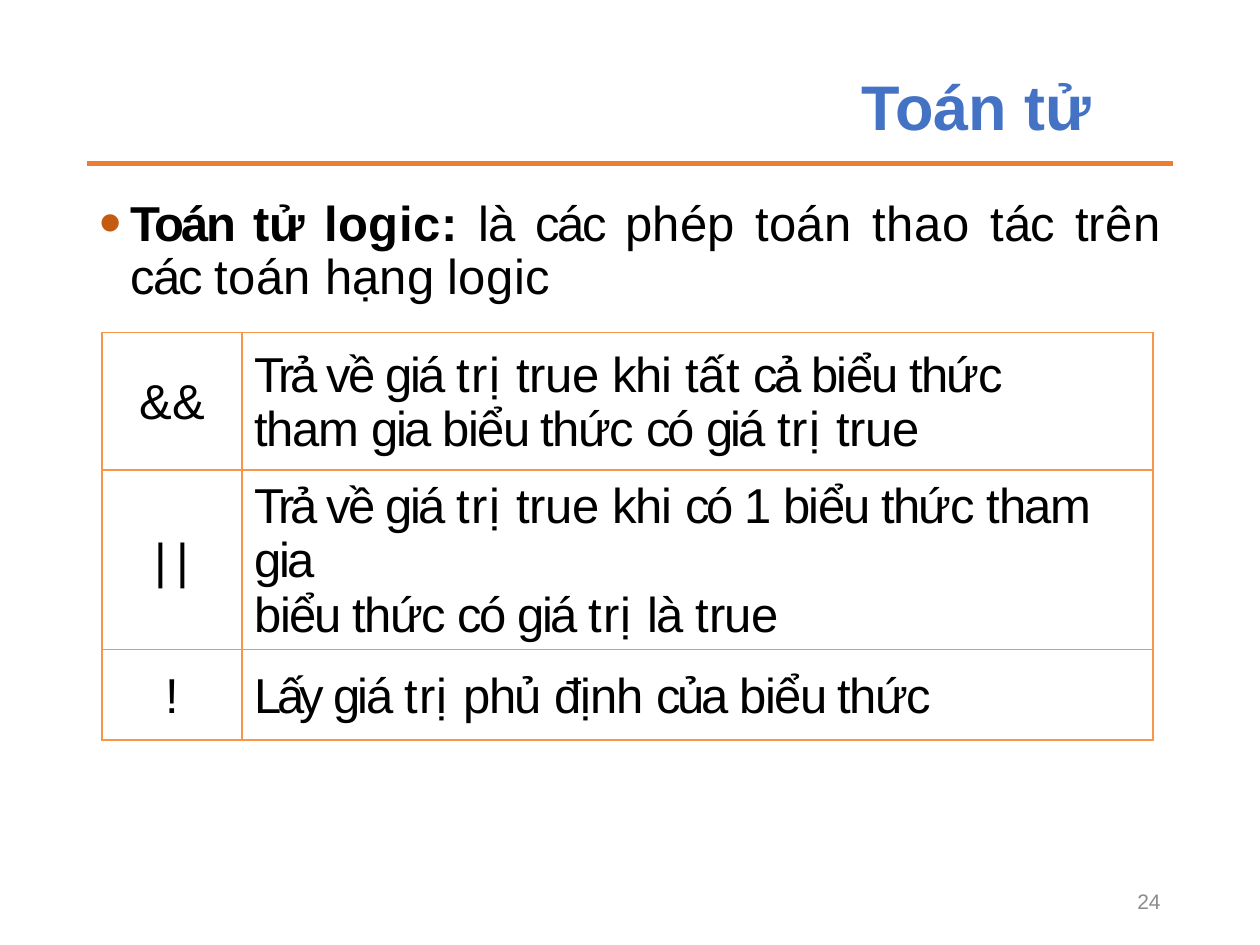
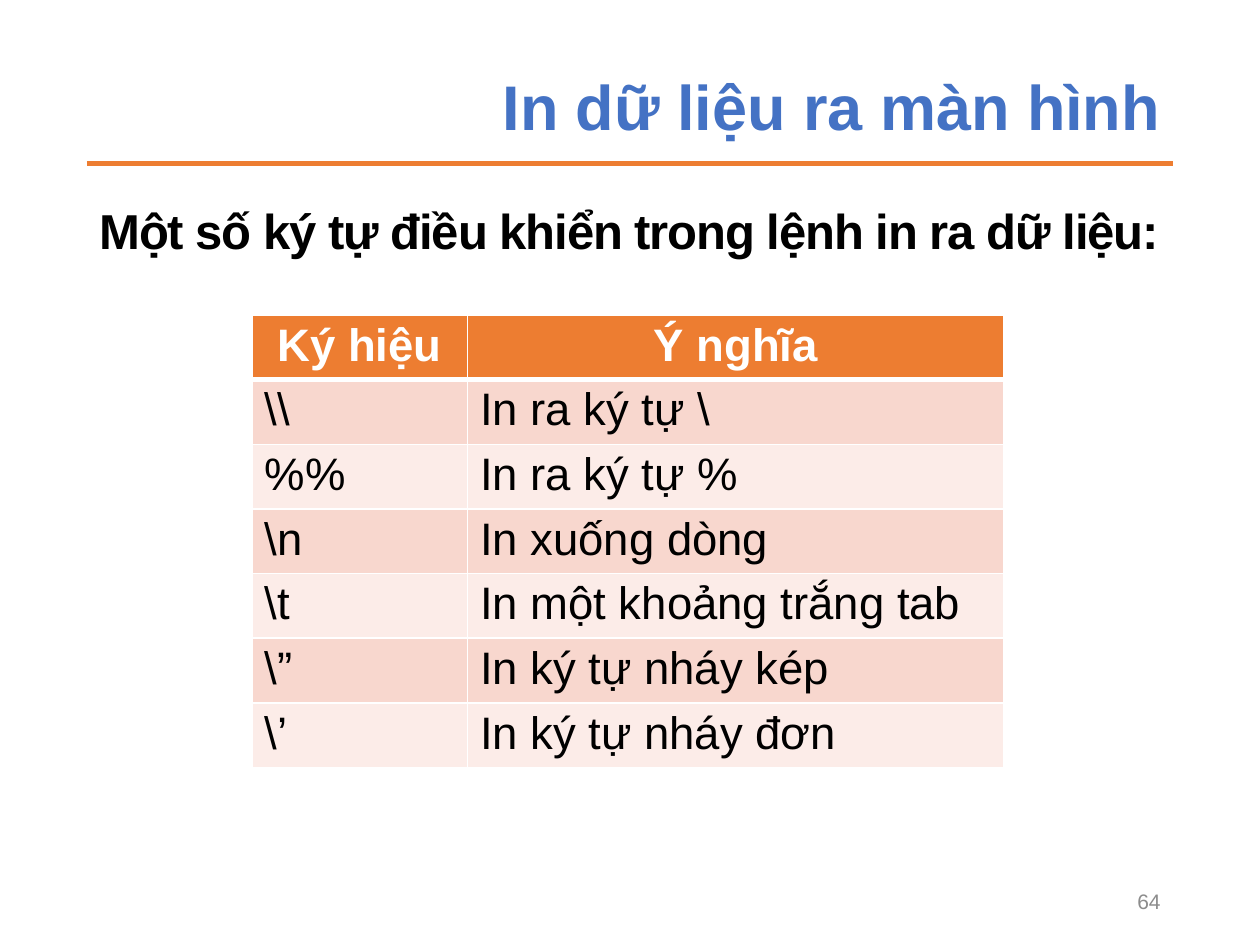
import pptx
import pptx.dml.color
import pptx.enum.shapes
import pptx.enum.text
import pptx.oxml.ns
import pptx.util
from lxml import etree

Inches = pptx.util.Inches
Pt = pptx.util.Pt
RGBColor = pptx.dml.color.RGBColor
ALIGN = pptx.enum.text.PP_ALIGN
ANCHOR = pptx.enum.text.MSO_ANCHOR
qn = pptx.oxml.ns.qn

FONT = "Arial"
BLUE = RGBColor(0x44, 0x72, 0xC4)
ORANGE = RGBColor(0xED, 0x7D, 0x31)
RUST = RGBColor(0xC5, 0x5A, 0x11)
AMBER = RGBColor(0xF7, 0x96, 0x46)
ROSE = RGBColor(0xF8, 0xD7, 0xCE)
PALE_ROSE = RGBColor(0xFC, 0xEC, 0xE8)
GRAY = RGBColor(0x8C, 0x8C, 0x8C)
BLACK = RGBColor(0, 0, 0)
WHITE = RGBColor(0xFF, 0xFF, 0xFF)

LEFT, WIDTH = 0.69, 8.62

# Letter spacing in points of each word in the operator table
TRACKING = {
    "&&": 0.3, "||": 5.5, "Trả": -2.5, "về": -1.7, "giá": -1.5, "trị": 0.7,
    "true": -0.2, "khi": -0.7, "tất": 0.1, "cả": -2.3, "biểu": -0.9,
    "thức": -0.9, "tham": -0.7, "gia": -1.5, "có": -1.6, "1": -1.4,
    "là": -1.1, "Lấy": -2.6, "phủ": -0.9, "định": -0.5, "của": -1.8,
}


def tracked(text):
    """Split a text into (word, spacing) pairs."""
    words = text.split()
    last = len(words) - 1
    return [(word + (" " if i < last else ""), TRACKING.get(word, 0))
            for i, word in enumerate(words)]


class Lesson:
    def __init__(self):
        self.deck = pptx.Presentation()
        self.deck.slide_width = Inches(10)
        self.deck.slide_height = Inches(7.5)
        self.page = None

    def new_page(self, title, number, title_inset=0.1):
        """Start a slide with its title, rule and page number."""
        self.page = self.deck.slides.add_slide(self.deck.slide_layouts[6])
        self.rule(1.3)
        frame = self.box(LEFT, 0.53, WIDTH, 0.68, ANCHOR.MIDDLE)
        frame.margin_right = Inches(title_inset)
        para = frame.paragraphs[0]
        para.line_spacing = 0.9
        self.add_spans(para, [(title, 0)], 36, BLUE, bold=True,
                       align=ALIGN.RIGHT)
        frame = self.box(7.06, 6.95, 2.25, 0.4, ANCHOR.MIDDLE)
        self.add_spans(frame.paragraphs[0], [(str(number), 0)], 12, GRAY,
                       align=ALIGN.RIGHT)

    def rule(self, top):
        line = self.page.shapes.add_connector(
            pptx.enum.shapes.MSO_CONNECTOR.STRAIGHT,
            Inches(LEFT), Inches(top), Inches(LEFT + WIDTH), Inches(top))
        line.line.color.rgb = ORANGE
        line.line.width = Pt(2.75)
        etree.SubElement(line._element.spPr, qn("a:effectLst"))

    def box(self, left, top, width, height, anchor=ANCHOR.TOP):
        frame = self.page.shapes.add_textbox(
            Inches(left), Inches(top), Inches(width), Inches(height)).text_frame
        frame.word_wrap = True
        frame.vertical_anchor = anchor
        return frame

    def add_spans(self, para, spans, size, color=BLACK, bold=False,
                  align=ALIGN.LEFT):
        """Add (text, letter spacing) runs to a paragraph."""
        para.alignment = align
        for text, spacing in spans:
            span = para.add_run()
            span.text = text
            span.font.name = FONT
            span.font.size = Pt(size)
            span.font.bold = bold
            span.font.color.rgb = color
            if spacing:
                span.font._element.set("spc", str(round(spacing * 100)))

    def bullet(self, para):
        props = para._p.get_or_add_pPr()
        props.set("marL", str(Inches(0.25)))
        props.set("indent", str(-Inches(0.25)))
        color = etree.SubElement(props, qn("a:buClr"))
        etree.SubElement(color, qn("a:srgbClr"), val=str(RUST))
        etree.SubElement(props, qn("a:buSzPct"), val="130000")
        etree.SubElement(props, qn("a:buFont"), typeface=FONT)
        etree.SubElement(props, qn("a:buChar"), char="•")

    def table(self, left, top, columns, rows):
        grid = self.page.shapes.add_table(
            len(rows), len(columns), Inches(left), Inches(top),
            Inches(sum(columns)), Inches(sum(rows))).table
        grid.first_row = grid.horz_banding = False
        for column, width in zip(grid.columns, columns):
            column.width = Inches(width)
        for row, height in zip(grid.rows, rows):
            row.height = Inches(height)
        return grid

    def style_cell(self, cell, border, fill=None, top=1, bottom=1):
        """Set the fill and the four borders, with widths in points."""
        if fill is None:
            cell.fill.background()
        else:
            cell.fill.solid()
            cell.fill.fore_color.rgb = fill
        props = cell._tc.get_or_add_tcPr()
        sides = {"L": 1, "R": 1, "T": top, "B": bottom}
        for i, (side, width) in enumerate(sides.items()):
            line = etree.Element(qn("a:ln" + side), w=str(Pt(width)))
            paint = etree.SubElement(line, qn("a:solidFill"))
            etree.SubElement(paint, qn("a:srgbClr"), val=str(border))
            props.insert(i, line)

    def margins(self, cell, left, top, right, bottom):
        cell.margin_left, cell.margin_top = Inches(left), Inches(top)
        cell.margin_right, cell.margin_bottom = Inches(right), Inches(bottom)


lesson = Lesson()

# Slide 1: logical operators
lesson.new_page("Toán tử", 24, title_inset=0.65)
para = lesson.box(LEFT, 1.53, WIDTH, 5.61).paragraphs[0]
para.line_spacing = 0.9
para.space_before = Pt(10)
lesson.bullet(para)
lesson.add_spans(para, [("Toán ", -1.5), ("tử ", -0.3), ("logic: ", 0.3)],
                 28, bold=True, align=ALIGN.JUSTIFY)
lesson.add_spans(para, [("là ", -0.5), ("các ", -1.2), ("phép toán ", 0.2),
                        ("thao ", 0.3), ("tác ", -0.2), ("trên ", 0.2),
                        ("các ", -1.1), ("toán ", 0.2), ("hạng ", 0),
                        ("logic", 0.2)], 28, align=ALIGN.JUSTIFY)

# Each operator: symbol, explanation paragraphs, right margin
operators = [
    ("&&", ["Trả về giá trị true khi tất cả biểu thức tham gia "
            "biểu thức có giá trị true"], 0.5),
    ("||", ["Trả về giá trị true khi có 1 biểu thức tham gia",
            "biểu thức có giá trị là true"], 0),
    ("!", ["Lấy giá trị phủ định của biểu thức"], 0),
]
grid = lesson.table(0.81, 2.64, [1.11, 7.23], [1.09, 1.17, 0.72])
for r, (symbol, meaning, right) in enumerate(operators):
    for c, lines in enumerate([[symbol], meaning]):
        cell = grid.cell(r, c)
        cell.vertical_anchor = ANCHOR.MIDDLE
        lesson.margins(cell, 0.1 * c, 0.02, right * c, 0)
        lesson.style_cell(cell, AMBER)
        frame = cell.text_frame
        for i, text in enumerate(lines):
            para = frame.add_paragraph() if i else frame.paragraphs[0]
            para.space_before = Pt(0.3 if i else 2)
            lesson.add_spans(para, tracked(text), 28,
                             align=ALIGN.LEFT if c else ALIGN.CENTER)

# Slide 2: control characters
lesson.new_page("In dữ liệu ra màn hình", 64)
para = lesson.box(LEFT, 1.55, WIDTH, 5.7).paragraphs[0]
para.line_spacing = Pt(33)
para.space_before = para.space_after = Pt(3)
lesson.add_spans(
    para, [("Một số ký tự điều khiển trong lệnh in ra dữ liệu:", -0.6)],
    28, bold=True, align=ALIGN.JUSTIFY)

characters = [
    ("Ký hiệu", "Ý nghĩa"),
    ("\\\\", "In ra ký tự \\"),
    ("%%", "In ra ký tự %"),
    ("\\n", "In xuống dòng"),
    ("\\t", "In một khoảng trắng tab"),
    ("\\”", "In ký tự nháy kép"),
    ("\\’", "In ký tự nháy đơn"),
]
grid = lesson.table(2, 2.5, [1.71, 4.26], [0.5] * len(characters))
for r, texts in enumerate(characters):
    header = r == 0
    fill = ORANGE if header else ROSE if r % 2 else PALE_ROSE
    for c, text in enumerate(texts):
        cell = grid.cell(r, c)
        lesson.margins(cell, 0.1, 0.04, 0.1, 0.04)
        lesson.style_cell(cell, WHITE, fill, top=3 if r == 1 else 1,
                          bottom=3 if header else 1)
        lesson.add_spans(cell.text_frame.paragraphs[0], [(text, 0)], 26,
                         WHITE if header else BLACK, bold=header,
                         align=ALIGN.CENTER if header else ALIGN.LEFT)

lesson.deck.save("out.pptx")
